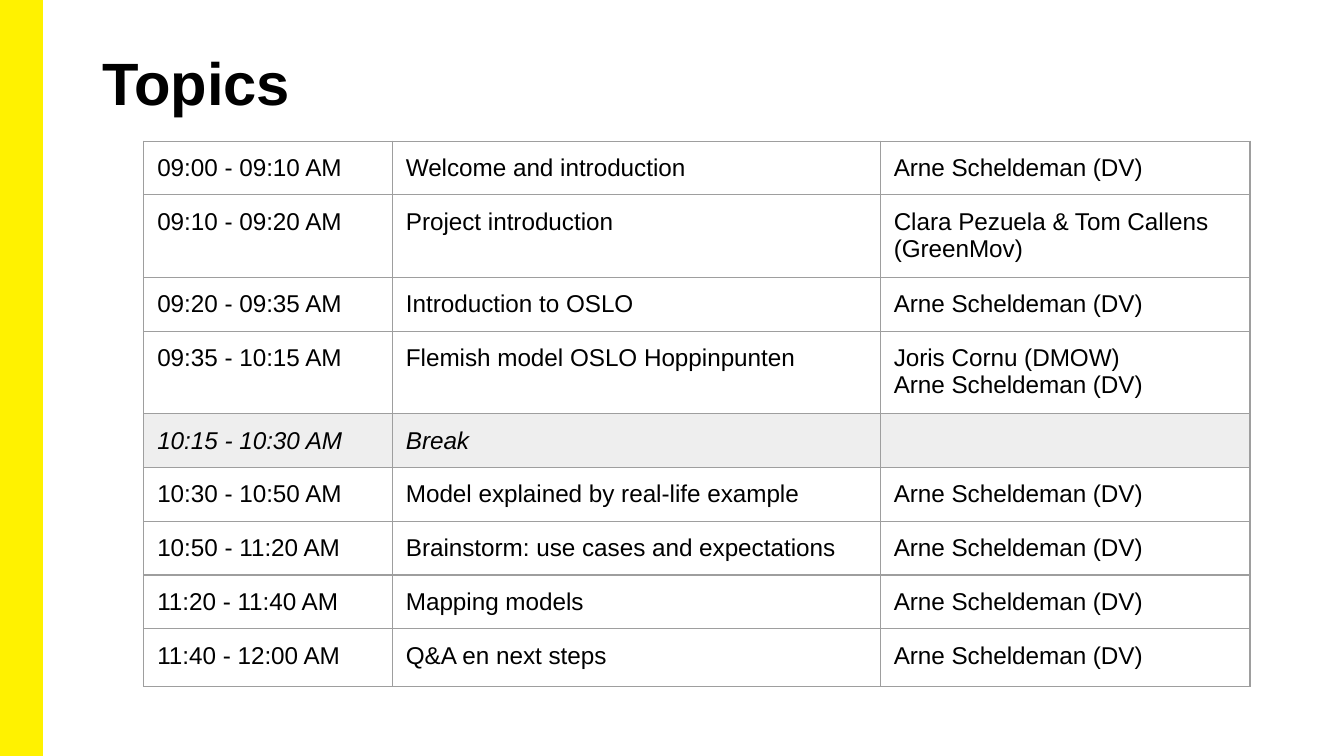
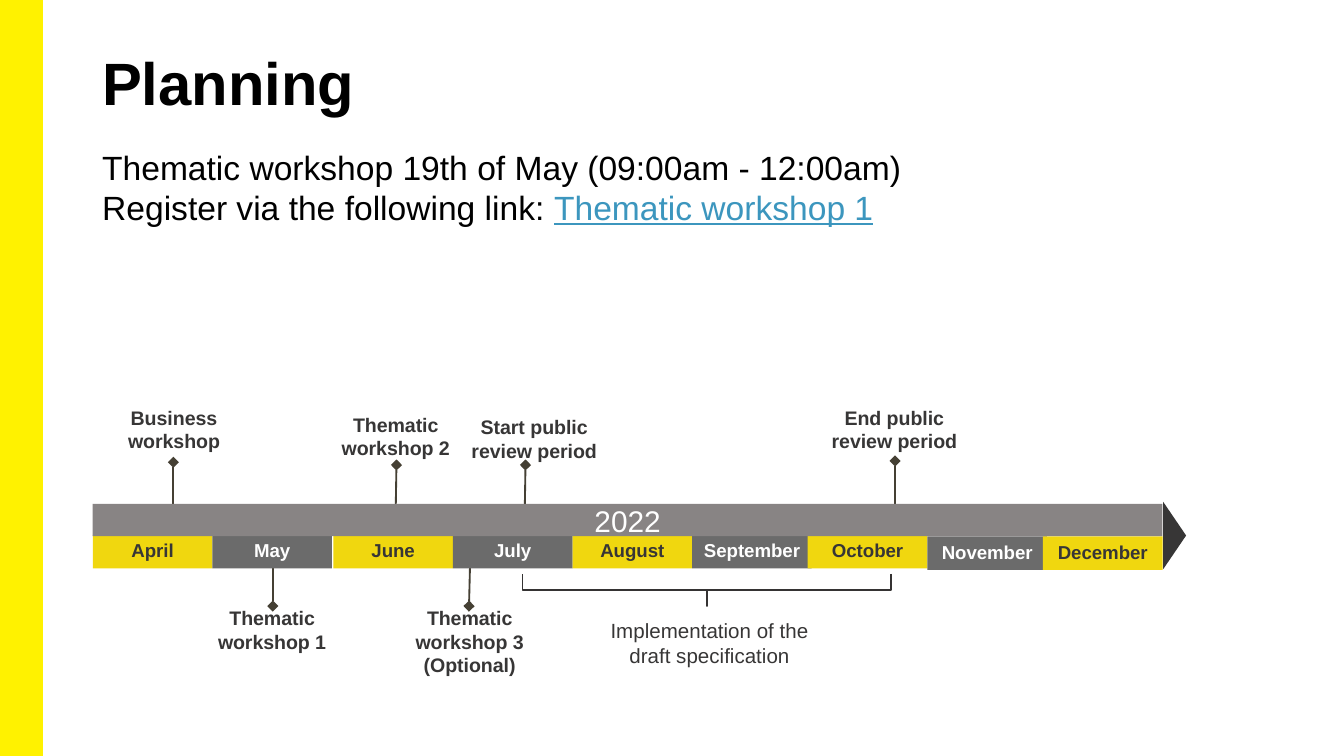
import typing

import lxml.etree
import pptx
import pptx.dml.color
import pptx.enum.shapes
import pptx.enum.text
import pptx.oxml.ns
import pptx.util

Inches = pptx.util.Inches
Pt = pptx.util.Pt
Shape = pptx.enum.shapes.MSO_SHAPE
Align = pptx.enum.text.PP_ALIGN
Anchor = pptx.enum.text.MSO_ANCHOR
qn = pptx.oxml.ns.qn

FONT = "Arial"
BLACK, WHITE, DARK = "000000", "FFFFFF", "373636"
BAND_YELLOW, MONTH_YELLOW, MONTH_GREY, YEAR_GREY = "FFF200", "F0D70F", "6B6B6B", "888484"
LINK_BLUE, MARKER, BRACE = "3C96BE", "454034", "353333"
BREAK_FILL, BORDER = "EEEEEE", "9E9E9E"

SLIDE_WIDTH = 10
SLIDE_HEIGHT = SLIDE_WIDTH * 9 / 16
TEXT_LEFT, TEXT_WIDTH = 0.69, 8.62
TEXT_MARGINS = (0.07, 0.04, 0.07, 0.04)
MONTH_WIDTH, MONTH_HEIGHT = 0.89, 0.25
LABEL_WIDTH = 1.21


class Box(typing.NamedTuple):
    left: float
    top: float
    width: float
    height: float

    def lengths(self) -> list[pptx.util.Length]:
        return [Inches(value) for value in self]


class Session(typing.NamedTuple):
    time: str
    topic: str
    speakers: tuple[str, ...]
    is_break: bool = False


class Month(typing.NamedTuple):
    name: str
    left: float
    top: float = 3.98


class Milestone(typing.NamedTuple):
    """An event whose diamond sits at (x, y) and whose line ends on the bar."""
    label: str
    x: float
    y: float
    bar_x: float
    bar_y: float
    label_left: float
    label_top: float
    label_height: float = 0.42


HOST = ("Arne Scheldeman (DV)",)
AGENDA = [
    Session("09:00 - 09:10 AM", "Welcome and introduction", HOST),
    Session("09:10 - 09:20 AM", "Project introduction", ("Clara Pezuela & Tom Callens (GreenMov)",)),
    Session("09:20 - 09:35 AM", "Introduction to OSLO", HOST),
    Session("09:35 - 10:15 AM", "Flemish model OSLO Hoppinpunten", ("Joris Cornu (DMOW)", *HOST)),
    Session("10:15 - 10:30 AM", "Break", (), is_break=True),
    Session("10:30 - 10:50 AM", "Model explained by real-life example", HOST),
    Session("10:50 - 11:20 AM", "Brainstorm: use cases and expectations", HOST),
    Session("11:20 - 11:40 AM", "Mapping models", HOST),
    Session("11:40 - 12:00 AM", "Q&A en next steps", HOST),
]
COLUMN_WIDTHS = (1.85, 3.63, 2.75)
ROW_HEIGHT, LAST_ROW_HEIGHT = 0.4, 0.43
AGENDA_SIZE = 13

MONTHS = [
    Month("April", 0.69), Month("May", 1.58), Month("June", 2.48),
    Month("July", 3.37), Month("August", 4.26), Month("September", 5.15),
    Month("October", 6.01), Month("November", 6.9, 3.99), Month("December", 7.76, 3.99),
]
MILESTONES = [
    Milestone("Business workshop", 1.29, 3.44, 1.29, 3.9, 0.69, 3.02),
    Milestone("Thematic workshop 1", 2.03, 4.51, 2.03, 4.23, 1.42, 4.51),
    Milestone("Thematic workshop 2", 2.95, 3.46, 2.94, 4.06, 2.34, 3.07, 0.38),
    Milestone("Thematic workshop 3 (Optional)", 3.49, 4.51, 3.5, 4.09, 2.89, 4.51),
    Milestone("Start public review period", 3.91, 3.46, 3.9, 4.06, 3.37, 3.09, 0.38),
    Milestone("End public review period", 6.66, 3.43, 6.66, 3.95, 6.05, 3.02),
]


def rgb(colour: str) -> pptx.dml.color.RGBColor:
    return pptx.dml.color.RGBColor.from_string(colour)


def add_run(paragraph, text: str, *, size: float, colour: str = BLACK, bold: bool = False,
            italic: bool = False, underline: bool = False) -> None:
    run = paragraph.add_run()
    run.text = text
    font = run.font
    font.name, font.size = FONT, Pt(size)
    font.bold, font.italic, font.underline = bold, italic, underline
    font.color.rgb = rgb(colour)


def write(frame, *lines: str, align=Align.LEFT, **font_format) -> None:
    """Fill a text frame with one paragraph per line."""
    for index, line in enumerate(lines):
        paragraph = frame.add_paragraph() if index else frame.paragraphs[0]
        paragraph.alignment = align
        add_run(paragraph, line, **font_format)


def set_layout(frame, margins: tuple[float, ...], anchor=Anchor.TOP) -> None:
    frame.word_wrap = True
    frame.vertical_anchor = anchor
    (frame.margin_left, frame.margin_top,
     frame.margin_right, frame.margin_bottom) = map(Inches, margins)


def add_text(slide, box: Box, *lines: str, margins: tuple[float, ...] = (0, 0, 0, 0),
             **text_format):
    frame = slide.shapes.add_textbox(*box.lengths()).text_frame
    set_layout(frame, margins)
    write(frame, *lines, **text_format)
    return frame


def add_shape(slide, kind, box: Box, *, fill: str | None = None,
              line: str | None = None, line_width: float = 1, rotation: float = 0):
    shape = slide.shapes.add_shape(kind, *box.lengths())
    shape.shadow.inherit = False
    shape.rotation = rotation
    if fill:
        shape.fill.solid()
        shape.fill.fore_color.rgb = rgb(fill)
    else:
        shape.fill.background()
    if line:
        shape.line.color.rgb = rgb(line)
        shape.line.width = Pt(line_width)
    else:
        shape.line.fill.background()
    return shape


def add_bar(slide, box: Box, text: str, *, fill: str, margins: tuple[float, ...],
            **font_format) -> None:
    bar = add_shape(slide, Shape.RECTANGLE, box, fill=fill)
    set_layout(bar.text_frame, margins, Anchor.MIDDLE)
    write(bar.text_frame, text, align=Align.CENTER, **font_format)


def add_titled_slide(presentation, title: str):
    slide = presentation.slides.add_slide(presentation.slide_layouts[6])
    add_shape(slide, Shape.RECTANGLE, Box(0, 0, 0.31, SLIDE_HEIGHT),
              fill=BAND_YELLOW, line=BAND_YELLOW)
    add_text(slide, Box(TEXT_LEFT, 0.3, TEXT_WIDTH, 0.81), title,
             size=32, bold=True, margins=TEXT_MARGINS)
    return slide


def set_borders(cell) -> None:
    properties = cell._tc.get_or_add_tcPr()
    for index, side in enumerate(("lnL", "lnR", "lnT", "lnB")):
        border = lxml.etree.Element(qn(f"a:{side}"), w=str(Pt(0.75)))
        fill = lxml.etree.SubElement(border, qn("a:solidFill"))
        lxml.etree.SubElement(fill, qn("a:srgbClr"), val=BORDER)
        properties.insert(index, border)


def fill_cell(cell, lines: tuple[str, ...], is_break: bool) -> None:
    if is_break:
        cell.fill.solid()
        cell.fill.fore_color.rgb = rgb(BREAK_FILL)
    else:
        cell.fill.background()
    set_borders(cell)
    write(cell.text_frame, *lines, size=AGENDA_SIZE, italic=is_break)
    for paragraph in cell.text_frame.paragraphs:
        lxml.etree.SubElement(paragraph._p, qn("a:endParaRPr"), sz=str(AGENDA_SIZE * 100))
    cell.margin_left = cell.margin_right = cell.margin_top = Inches(0.1)
    cell.margin_bottom = Inches(0.08)
    cell.vertical_anchor = Anchor.TOP


def add_agenda(slide) -> None:
    height = ROW_HEIGHT * (len(AGENDA) - 1) + LAST_ROW_HEIGHT
    box = Box(1.07, 1.05, sum(COLUMN_WIDTHS), height)
    table = slide.shapes.add_table(len(AGENDA), len(COLUMN_WIDTHS), *box.lengths()).table
    table.first_row = table.horz_banding = False
    for column, width in zip(table.columns, COLUMN_WIDTHS):
        column.width = Inches(width)
    for row, session in zip(table.rows, AGENDA):
        row.height = Inches(ROW_HEIGHT)
        contents = ((session.time,), (session.topic,), session.speakers)
        for cell, lines in zip(row.cells, contents):
            fill_cell(cell, lines, session.is_break)
    table.rows[len(AGENDA) - 1].height = Inches(LAST_ROW_HEIGHT)


def add_marker(slide, milestone: Milestone) -> None:
    ends = (milestone.x, milestone.y, milestone.bar_x, milestone.bar_y)
    marker = slide.shapes.add_connector(
        pptx.enum.shapes.MSO_CONNECTOR.STRAIGHT, *map(Inches, ends))
    marker.line.color.rgb = rgb(MARKER)
    marker.line.width = Pt(1)
    lxml.etree.SubElement(marker.line._get_or_add_ln(), qn("a:headEnd"), type="diamond")
    lxml.etree.SubElement(marker._element.spPr, qn("a:effectLst"))


def add_timeline(slide) -> None:
    for milestone in MILESTONES:
        add_marker(slide, milestone)
    add_shape(slide, Shape.ISOSCELES_TRIANGLE, Box(8.49, 3.9, 0.5, 0.17),
              fill=DARK, rotation=90)

    for index, month in enumerate(MONTHS):
        on_yellow = index % 2 == 0
        add_bar(slide, Box(month.left, month.top, MONTH_WIDTH, MONTH_HEIGHT), month.name,
                fill=MONTH_YELLOW if on_yellow else MONTH_GREY,
                colour=DARK if on_yellow else WHITE,
                size=10, bold=True, margins=(0.08, 0.08, 0.08, 0.1))
    add_bar(slide, Box(TEXT_LEFT, 3.75, 7.96, 0.24), "2022", fill=YEAR_GREY,
            colour=WHITE, size=16, margins=(0.1, 0.05, 0.1, 0.05))

    for milestone in MILESTONES:
        add_text(slide, Box(milestone.label_left, milestone.label_top,
                            LABEL_WIDTH, milestone.label_height),
                 milestone.label, size=10.5, bold=True, colour=DARK, align=Align.CENTER)

    brace = add_shape(slide, Shape.LEFT_BRACE, Box(5.14, 3.02, 0.24, 2.74),
                      line=BRACE, line_width=0.75, rotation=270)
    brace.adjustments[0], brace.adjustments[1] = 0, 0.5
    add_text(slide, Box(4.38, 4.6, 1.8, 0.42), "Implementation of the draft specification",
             size=11, colour=DARK, align=Align.CENTER)


def main() -> None:
    presentation = pptx.Presentation()
    presentation.slide_width = Inches(SLIDE_WIDTH)
    presentation.slide_height = Inches(SLIDE_HEIGHT)

    add_agenda(add_titled_slide(presentation, "Topics"))

    planning = add_titled_slide(presentation, "Planning")
    invitation = add_text(planning, Box(TEXT_LEFT, 1.05, TEXT_WIDTH, 1.07),
                          "Thematic workshop 19th of May (09:00am - 12:00am)",
                          "Register via the following link: ",
                          size=18, margins=TEXT_MARGINS)
    add_run(invitation.paragraphs[-1], "Thematic workshop 1",
            size=18, colour=LINK_BLUE, underline=True)
    add_timeline(planning)

    presentation.save("out.pptx")


if __name__ == "__main__":
    main()
